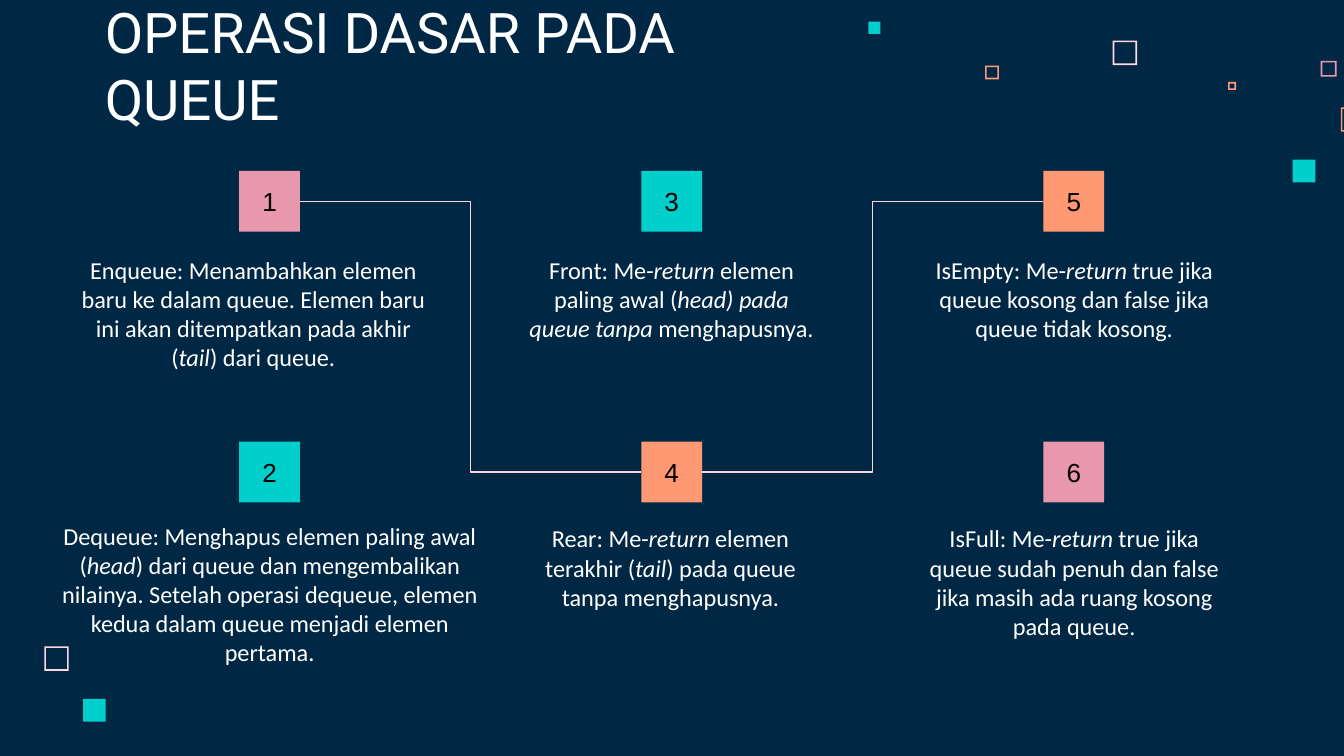
from pptx import Presentation
from pptx.dml.color import RGBColor
from pptx.enum import shapes, text
from pptx.oxml import parse_xml
from pptx.oxml.ns import nsdecls
from pptx.util import Cm, Pt

THEME = {
    "navy": "002845", "white": "FFFFFF", "black": "000000",
    "pink": "E898AC", "teal": "00CFCC", "coral": "FF9973", "pale": "FFD6E1",
    "head": ("Roboto", 30), "body": ("Calibri", 13), "num": ("Arial", 14),
}
TITLE = "OPERASI DASAR PADA QUEUE"

# Column by column: tile colour, text box (left, top, width), words with *italics*
CARDS = [
    ("pink", (1.09, 4.57, 7.39),
     "Enqueue: Menambahkan elemen baru ke dalam queue. Elemen baru ini akan "
     "ditempatkan pada akhir (*tail*) dari queue."),
    ("teal", (0.84, 9.6, 8.51),
     "Dequeue: Menghapus elemen paling awal (*head*) dari queue dan "
     "mengembalikan nilainya. Setelah operasi dequeue, elemen kedua dalam "
     "queue menjadi elemen pertama."),
    ("teal", (9.63, 4.57, 6.12),
     "Front: Me-*return *elemen paling awal (*head) pada queue tanpa "
     "*menghapusnya."),
    ("coral", (9.8, 9.65, 5.74),
     "Rear: Me-*return* elemen terakhir (*tail*) pada queue tanpa "
     "menghapusnya."),
    ("coral", (17.15, 4.57, 6.3),
     "IsEmpty: Me-*return *true jika queue kosong dan false jika queue tidak "
     "kosong."),
    ("pink", (17.15, 9.65, 6.3),
     "IsFull: Me-*return *true jika queue sudah penuh dan false jika masih "
     "ada ruang kosong pada queue."),
]
LINKS = [(1, 4), (4, 5)]

# Decoration: left, top, side, colour
FRAMES = [(21.03, 0.77, 0.46, "pale"), (24.96, 1.15, 0.3, "pink"),
          (23.21, 1.55, 0.15, "coral"), (25.34, 2.03, 0.46, "coral"),
          (18.62, 1.24, 0.26, "coral"), (0.84, 12.22, 0.46, "pale")]
DOTS = [(24.43, 3.02, 0.43, "teal"), (16.41, 0.41, 0.23, "teal"),
        (1.57, 13.21, 0.43, "teal")]
EDGE = 0.03

# Tile grid: origin, steps, side
LEFT, TOP, COL, ROW, SIDE = 4.52, 3.23, 7.6, 5.12, 1.15


def rgb(name):
    return RGBColor.from_string(THEME[name])


def style(para, kind, tint, align):
    para.alignment = align
    for run in para.runs:
        run.font.name, size = THEME[kind]
        run.font.size = Pt(size)
        run.font.color.rgb = rgb(tint)


def inset(frame, anchor):
    """Wrap the text, fix the box size and set even margins."""
    frame.word_wrap = True
    frame.auto_size = text.MSO_AUTO_SIZE.NONE
    frame.vertical_anchor = anchor
    frame.margin_left = frame.margin_right = Cm(0.25)
    frame.margin_top = frame.margin_bottom = Cm(0.25)


def square(slide, x, y, side, tint, kind=shapes.MSO_SHAPE.RECTANGLE):
    box = slide.shapes.add_shape(kind, Cm(x), Cm(y), Cm(side), Cm(side))
    box.shadow.inherit = False
    box.fill.solid()
    box.fill.fore_color.rgb = rgb(tint)
    box.line.fill.background()
    return box


def head(slide):
    title = slide.shapes.title
    title.left, title.top = Cm(1.73), Cm(1.14)
    title.width, title.height = Cm(13.13), Cm(1.6)
    frame = title.text_frame
    frame.text = TITLE
    inset(frame, text.MSO_ANCHOR.BOTTOM)
    style(frame.paragraphs[0], "head", "white", text.PP_ALIGN.LEFT)


def note(slide, place, words):
    x, y, wide = place
    box = slide.shapes.add_textbox(Cm(x), Cm(y), Cm(wide), Cm(2.29))
    inset(box.text_frame, text.MSO_ANCHOR.TOP)
    para = box.text_frame.paragraphs[0]
    for i, part in enumerate(words.split("*")):
        run = para.add_run()
        run.text = part
        run.font.italic = i % 2 == 1
    style(para, "body", "white", text.PP_ALIGN.CENTER)


def tile(slide, num, tint):
    col, row = divmod(num - 1, 2)
    box = square(slide, LEFT + col * COL, TOP + row * ROW, SIDE, tint)
    frame = box.text_frame
    frame.text = str(num)
    inset(frame, text.MSO_ANCHOR.MIDDLE)
    style(frame.paragraphs[0], "num", "black", text.PP_ALIGN.CENTER)
    return box


def link(slide, start, end):
    line = slide.shapes.add_connector(shapes.MSO_CONNECTOR.ELBOW, 0, 0, 0, 0)
    line.begin_connect(start, 3)
    line.end_connect(end, 1)
    line.line.color.rgb = rgb("pale")
    line.line.width = Pt(0.75)
    line._element.spPr.append(parse_xml(f"<a:effectLst {nsdecls('a')}/>"))


def main():
    deck = Presentation()
    deck.slide_width, deck.slide_height = Cm(25.4), Cm(14.29)
    slide = deck.slides.add_slide(deck.slide_layouts[5])
    slide.background.fill.solid()
    slide.background.fill.fore_color.rgb = rgb("navy")

    for x, y, side, tint in FRAMES:
        box = square(slide, x, y, side, tint, shapes.MSO_SHAPE.FRAME)
        box.adjustments[0] = EDGE / side
    for dot in DOTS:
        square(slide, *dot)

    head(slide)
    tiles = {}
    for num, (tint, place, words) in enumerate(CARDS, 1):
        note(slide, place, words)
        tiles[num] = tile(slide, num, tint)
    for start, end in LINKS:
        link(slide, tiles[start], tiles[end])
    deck.save("out.pptx")


if __name__ == "__main__":
    main()
